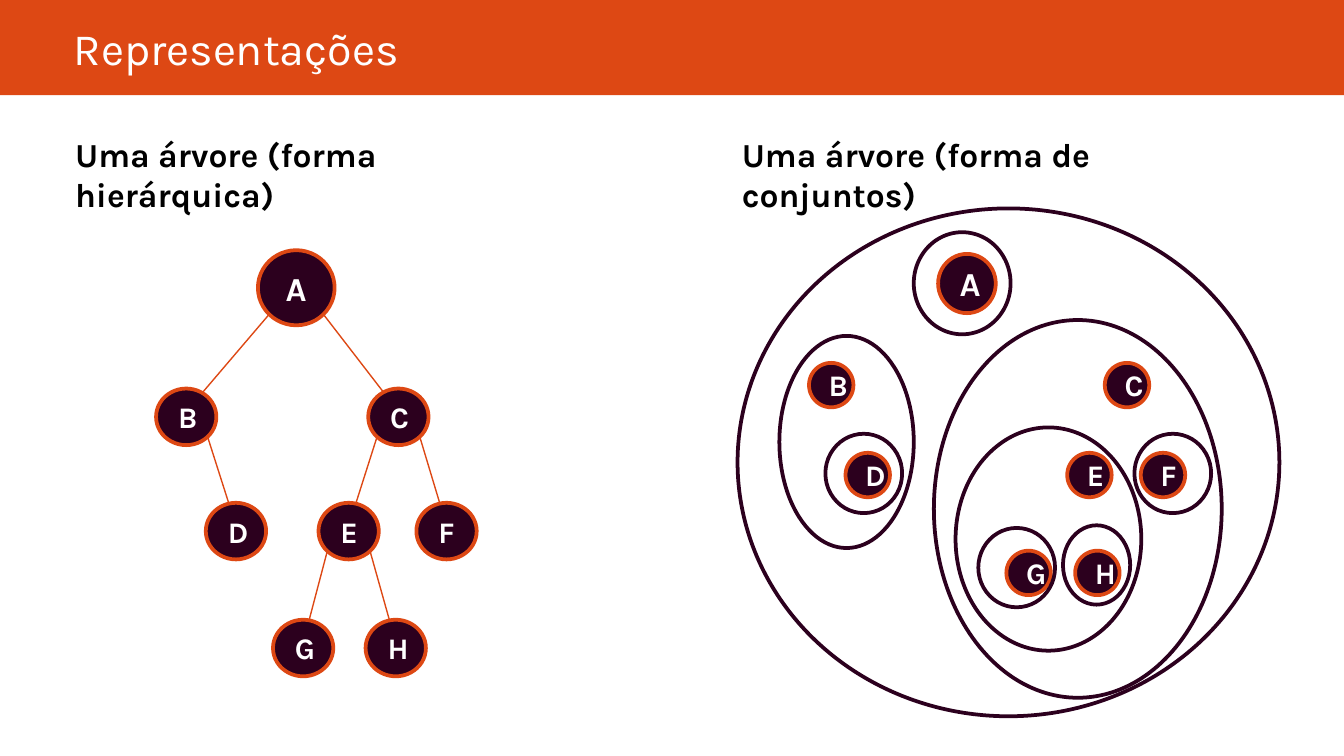
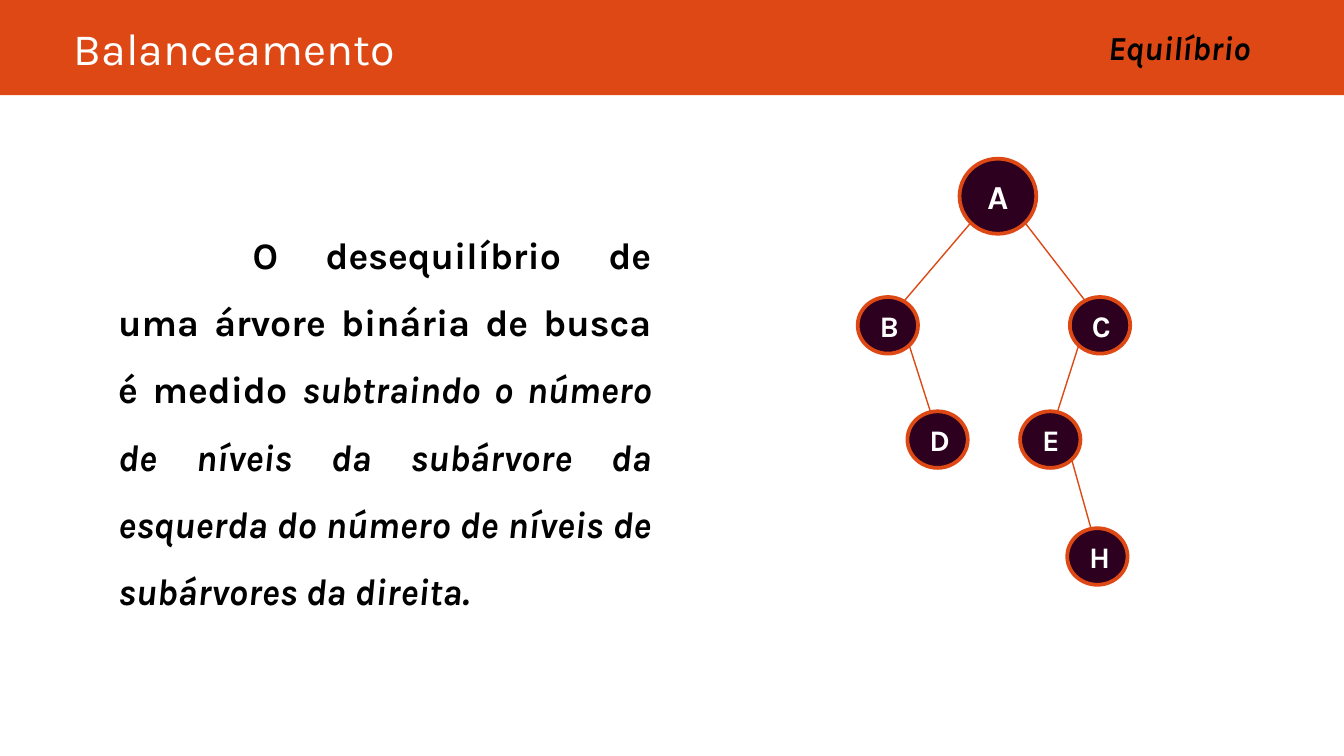
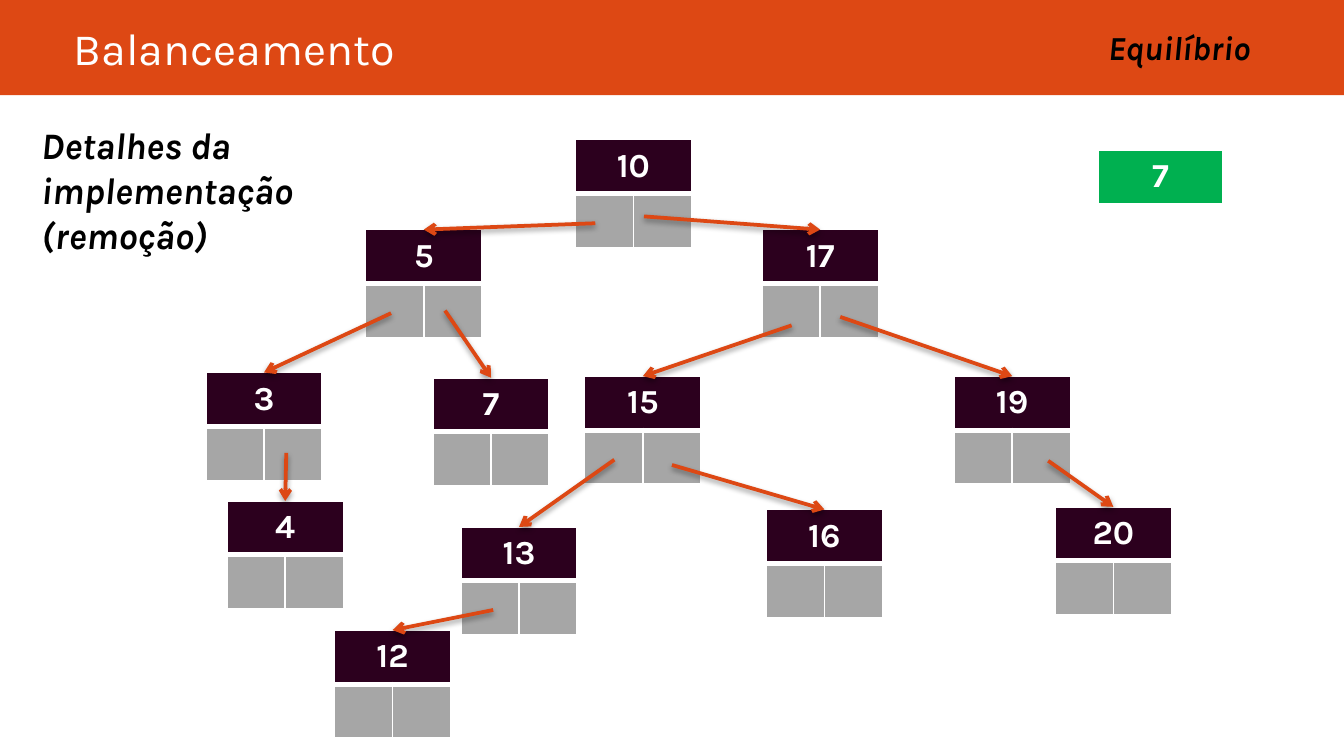
from dataclasses import dataclass
from typing import Optional

from lxml import etree
from pptx import Presentation
from pptx.dml.color import RGBColor
from pptx.enum import shapes, text
from pptx.oxml import ns
from pptx.util import Cm, Pt


@dataclass(frozen=True)
class Theme:
    font: str = "Karla"
    orange: str = "DD4814"
    aubergine: str = "2C001E"
    gray: str = "A6A6A6"
    green: str = "00B050"
    white: str = "FFFFFF"
    black: str = "000000"
    title: int = 24
    body: int = 20
    label: int = 18
    node: int = 16
    edge_width: float = 0.75
    outline_width: float = 2


@dataclass(frozen=True)
class Box:
    """Left, top, width and height in centimetres."""
    left: float
    top: float
    width: float
    height: float

    def lengths(self) -> tuple:
        return Cm(self.left), Cm(self.top), Cm(self.width), Cm(self.height)


@dataclass(frozen=True)
class TreeNode:
    """x is measured from the root's centre."""
    x: float
    level: int
    parent: Optional[str] = None


@dataclass(frozen=True)
class Record:
    """A stored key with two pointers; link is where its parent's arrow starts."""
    key: str
    left: float
    top: float
    link: Optional[tuple] = None


THEME = Theme()
BAND = Box(0, 0, 25.4, 1.8)
TITLE = Box(1.14, 0, 22.99, 1.8)
TOPIC = Box(17.25, 0.38, 6.63, 1.02)

LEVEL_Y = (0, 2.44, 4.6, 6.81)
ROOT_SIZE = (1.45, 1.42)
CHILD_SIZE = (1.14, 1.07)
DIAGONAL = 0.71
TREE = {
    "A": TreeNode(0, 0),
    "B": TreeNode(-2.08, 1, "A"),
    "C": TreeNode(1.93, 1, "A"),
    "D": TreeNode(-1.14, 2, "B"),
    "E": TreeNode(0.99, 2, "C"),
    "F": TreeNode(2.84, 2, "C"),
    "G": TreeNode(0.13, 3, "E"),
    "H": TreeNode(1.88, 3, "E"),
}

SET_MEMBERS = {
    "A": (17.73, 4.8), "B": (15.29, 6.86), "C": (20.88, 6.86), "D": (15.98, 8.56),
    "E": (20.17, 8.56), "F": (21.56, 8.56), "G": (19.02, 10.41), "H": (20.32, 10.41),
}
SET_RINGS = (
    Box(13.94, 3.94, 10.24, 9.6),
    Box(17.27, 4.39, 1.83, 1.93),
    Box(14.73, 6.35, 2.54, 4.01),
    Box(15.6, 8.2, 1.45, 1.5),
    Box(17.65, 6.05, 5.44, 7.14),
    Box(18.06, 8.08, 3.51, 4.22),
    Box(21.44, 8.2, 1.45, 1.5),
    Box(18.49, 9.98, 1.45, 1.5),
    Box(20.09, 9.93, 1.27, 1.5),
)

POINTER_WIDTH = 1.1
ROW_HEIGHT = 1.02
RECORDS = (
    Record("10", 10.87, 2.64),
    Record("5", 6.91, 4.34, (11.25, 4.22)),
    Record("17", 14.4, 4.34, (12.17, 4.09)),
    Record("3", 3.89, 7.04, (7.39, 5.92)),
    Record("7", 8.18, 7.14, (8.41, 5.87)),
    Record("19", 18.03, 7.11, (15.88, 5.99)),
    Record("15", 11.05, 7.11, (14.96, 6.15)),
    Record("4", 4.29, 9.47, (5.41, 8.56)),
    Record("20", 19.94, 9.58, (19.81, 8.71)),
    Record("16", 14.48, 9.63, (12.7, 8.79)),
    Record("13", 8.71, 9.96, (11.61, 8.69)),
    Record("12", 6.32, 11.91, (9.32, 11.53)),
)


def rgb(color: str) -> RGBColor:
    return RGBColor.from_string(color)


def add_element(parent, tag: str, **attributes):
    child = etree.SubElement(parent, ns.qn(tag))
    for name, value in attributes.items():
        child.set(name, str(value))
    return child


def style(paragraph, size: int, color: str, bold: bool = True, italic: bool = False,
          align=text.PP_ALIGN.LEFT) -> None:
    paragraph.alignment = align
    font = paragraph.font
    font.name, font.size, font.bold, font.italic = THEME.font, Pt(size), bold, italic
    font.color.rgb = rgb(color)


def place(shape, box: Box) -> None:
    shape.left, shape.top, shape.width, shape.height = box.lengths()


def start_slide(deck, layout: int, title: str, topic: str = ""):
    """Add a slide with the band, its title and, if given, the topic at the right."""
    slide = deck.slides.add_slide(deck.slide_layouts[layout])
    band = slide.shapes.add_shape(shapes.MSO_SHAPE.RECTANGLE, *BAND.lengths())
    band.shadow.inherit = False
    band.fill.solid()
    band.fill.fore_color.rgb = rgb(THEME.orange)
    band.line.fill.background()
    slide.shapes._spTree.insert(2, band._element)

    heading = slide.shapes.title
    place(heading, TITLE)
    frame = heading.text_frame
    frame.text = title
    frame.auto_size = text.MSO_AUTO_SIZE.NONE
    frame.vertical_anchor = text.MSO_ANCHOR.MIDDLE
    style(frame.paragraphs[0], THEME.title, THEME.white, bold=False)
    if topic:
        add_text(slide, TOPIC, topic, THEME.label, italic=True, align=text.PP_ALIGN.RIGHT)
    return slide


def add_text(slide, box: Box, wording: str, size: int, italic: bool = False,
             align=text.PP_ALIGN.LEFT):
    frame = slide.shapes.add_textbox(*box.lengths()).text_frame
    frame.word_wrap = True
    frame.text = wording
    for paragraph in frame.paragraphs:
        style(paragraph, size, THEME.black, italic=italic, align=align)
    return frame


def add_ellipse(slide, box: Box, outline: str):
    ellipse = slide.shapes.add_shape(shapes.MSO_SHAPE.OVAL, *box.lengths())
    ellipse.shadow.inherit = False
    ellipse.fill.background()
    ellipse.line.color.rgb = rgb(outline)
    ellipse.line.width = Pt(THEME.outline_width)
    return ellipse


def add_node(slide, box: Box, letter: str) -> None:
    node = add_ellipse(slide, box, THEME.orange)
    node.fill.solid()
    node.fill.fore_color.rgb = rgb(THEME.aubergine)
    frame = node.text_frame
    frame.text = letter
    frame.vertical_anchor = text.MSO_ANCHOR.MIDDLE
    size = THEME.label if letter == "A" else THEME.node
    style(frame.paragraphs[0], size, THEME.white, align=text.PP_ALIGN.CENTER)


def add_line(slide, start: tuple, end: tuple, width: float):
    """Draw an orange line and return its (empty) effect list with it."""
    line = slide.shapes.add_connector(
        shapes.MSO_CONNECTOR.STRAIGHT, *(Cm(value) for value in start + end))
    line.line.color.rgb = rgb(THEME.orange)
    line.line.width = Pt(width)
    effects = add_element(line._element.spPr, "a:effectLst")
    return line, effects


def add_arrow(slide, start: tuple, end: tuple) -> None:
    arrow, effects = add_line(slide, start, end, THEME.outline_width)
    add_element(arrow.line._get_or_add_ln(), "a:tailEnd", type="arrow")
    shadow = add_element(effects, "a:outerShdw", blurRad=Pt(3.1), dist=Pt(1.6),
                         dir=5400000, rotWithShape=0)
    shade = add_element(shadow, "a:srgbClr", val=THEME.black)
    add_element(shade, "a:alpha", val=38000)


def draw_tree(slide, root_x: float, root_y: float, letters: str) -> None:
    """Draw the chosen nodes over the edges that join them."""
    centers = {letter: (root_x + TREE[letter].x, root_y + LEVEL_Y[TREE[letter].level])
               for letter in letters}
    sizes = {letter: CHILD_SIZE if TREE[letter].parent else ROOT_SIZE for letter in letters}
    for letter, (x, y) in centers.items():
        parent = TREE[letter].parent
        if parent:
            parent_x, parent_y = centers[parent]
            width, height = sizes[parent]
            side = 1 if x > parent_x else -1
            start = (parent_x + side * DIAGONAL * width / 2, parent_y + DIAGONAL * height / 2)
            add_line(slide, start, (x, y - 0.1), THEME.edge_width)
    for letter, (x, y) in centers.items():
        width, height = sizes[letter]
        add_node(slide, Box(x - width / 2, y - height / 2, width, height), letter)


def draw_sets(slide) -> None:
    for letter, (left, top) in SET_MEMBERS.items():
        size = (1.09, 1.12) if letter == "A" else (0.84, 0.84)
        add_node(slide, Box(left, top, *size), letter)
    for ring in SET_RINGS:
        add_ellipse(slide, ring, THEME.aubergine)


def add_grid(slide, rows: int, columns: int, box: Box):
    table = slide.shapes.add_table(rows, columns, *box.lengths()).table
    table.first_row = table.horz_banding = False
    return table


def paint_cell(cell, color: str, top: float = 1, bottom: float = 1) -> None:
    """Give a cell white borders, of the given widths in points, and a fill."""
    properties = cell._tc.get_or_add_tcPr()
    for tag, width in (("a:lnL", 1), ("a:lnR", 1), ("a:lnT", top), ("a:lnB", bottom)):
        border = add_element(properties, tag, w=Pt(width))
        add_element(add_element(border, "a:solidFill"), "a:srgbClr", val=THEME.white)
    cell.fill.solid()
    cell.fill.fore_color.rgb = rgb(color)


def write_key(cell, key: str) -> None:
    cell.text = key
    style(cell.text_frame.paragraphs[0], THEME.label, THEME.white,
          align=text.PP_ALIGN.CENTER)


def draw_record(slide, record: Record) -> None:
    table = add_grid(slide, 2, 2, Box(record.left, record.top,
                                      2 * POINTER_WIDTH, 2 * ROW_HEIGHT))
    for column in range(2):
        paint_cell(table.cell(0, column), THEME.aubergine, bottom=3)
        pointer = table.cell(1, column)
        paint_cell(pointer, THEME.gray, top=3)
        pointer.margin_top = pointer.margin_bottom = 0
    table.cell(0, 0).merge(table.cell(0, 1))
    write_key(table.cell(0, 0), record.key)
    if record.link:
        add_arrow(slide, record.link, (record.left + POINTER_WIDTH, record.top))


def build_representations(deck) -> None:
    slide = start_slide(deck, 5, "Representações")
    add_text(slide, Box(1.17, 2.41, 9.8, 1.02), "Uma árvore (forma hierárquica)", THEME.label)
    draw_tree(slide, 5.6, 5.44, "ABCDEFGH")
    add_text(slide, Box(13.77, 2.41, 10.2, 1.02), "Uma árvore (forma de conjuntos)", THEME.label)
    draw_sets(slide)


def build_imbalance(deck) -> None:
    slide = start_slide(deck, 1, "Balanceamento", "Equilíbrio")
    definition = slide.placeholders[1]
    place(definition, Box(1.98, 3.84, 10.59, 7.87))
    frame = definition.text_frame
    frame.auto_size = text.MSO_AUTO_SIZE.NONE
    paragraph = frame.paragraphs[0]
    paragraph.line_spacing = 1.5
    paragraph.space_before = Pt(0)
    properties = paragraph._p.get_or_add_pPr()
    properties.set("marL", "0")
    properties.set("indent", str(Cm(2.54)))
    add_element(properties, "a:buNone")
    style(paragraph, THEME.body, THEME.black, align=text.PP_ALIGN.JUSTIFY)
    paragraph.add_run().text = "O desequilíbrio de uma árvore binária de busca é medido "
    method = paragraph.add_run()
    method.text = ("subtraindo o número de níveis da subárvore da esquerda "
                   "do número de níveis de subárvores da direita.")
    method.font.italic = True
    draw_tree(slide, 18.86, 3.71, "ABCDEH")


def build_removal(deck) -> None:
    slide = start_slide(deck, 5, "Balanceamento", "Equilíbrio")
    details = add_text(slide, Box(0.53, 2.44, 7.62, 2.29),
                       "Detalhes da implementação\n(remoção)", THEME.body, italic=True)
    details.vertical_anchor = text.MSO_ANCHOR.MIDDLE
    details.margin_top = details.margin_bottom = Cm(0.25)
    for record in RECORDS:
        draw_record(slide, record)
    removed = add_grid(slide, 1, 1, Box(20.75, 2.84, 2.36, ROW_HEIGHT)).cell(0, 0)
    paint_cell(removed, THEME.green)
    write_key(removed, "7")


def main() -> None:
    deck = Presentation()
    deck.slide_width, deck.slide_height = Cm(25.4), Cm(14.29)
    build_representations(deck)
    build_imbalance(deck)
    build_removal(deck)
    deck.save("out.pptx")


if __name__ == "__main__":
    main()
